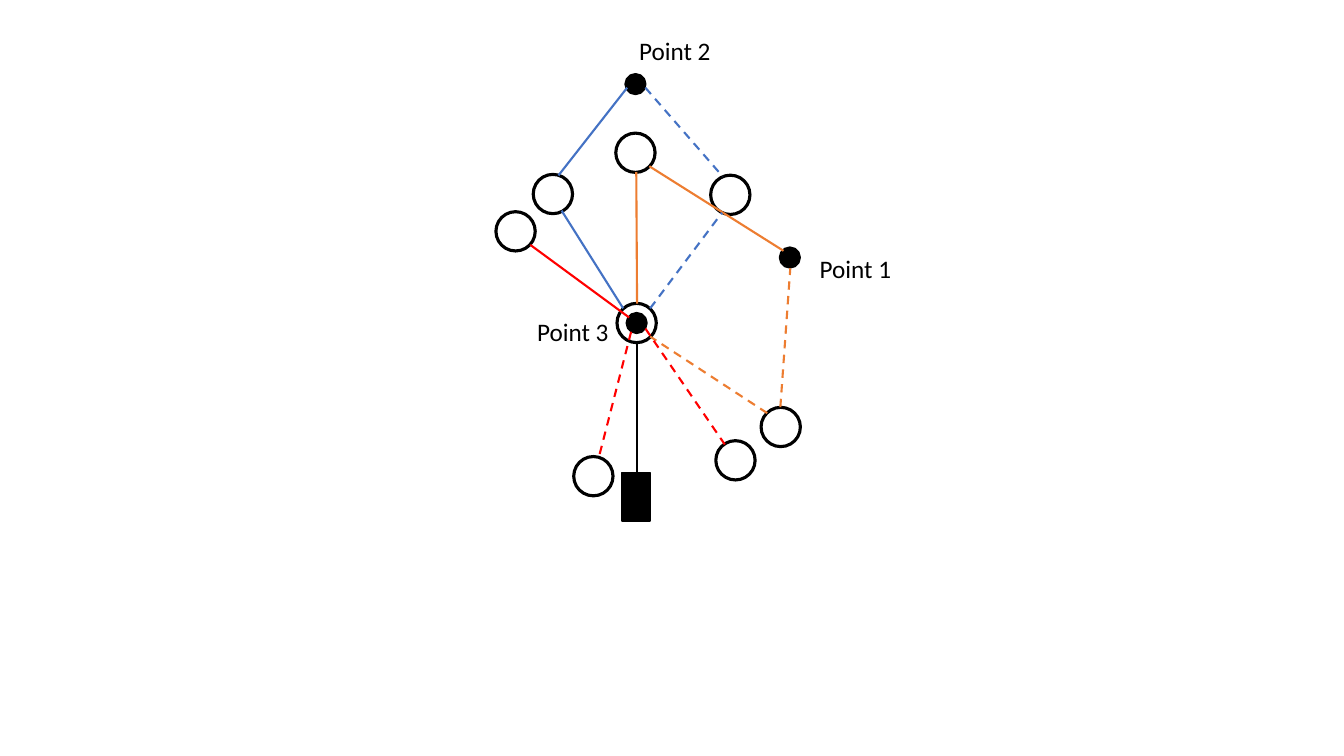
from pptx import Presentation
from pptx import util as u
from pptx.dml import color as col
from pptx.enum import dml, shapes, text
from pptx.oxml import xmlchemy as xc

INK = {"black": "000000", "orange": "ED7D31", "blue": "4472C4", "red": "FF0000"}


class Sketch:
    """Holds the style, the slide and the group that the diagram is drawn in."""
    font, size = "Calibri", 18
    ring_d, dot_d = 0.99, 0.48

    def __init__(self, slide):
        self.slide = slide
        self.group = slide.shapes.add_group_shape()

    def shade(self, name):
        return col.RGBColor.from_string(INK[name])

    def shape(self, kind, x, y, w, h, weight, filled):
        item = self.group.shapes.add_shape(kind, u.Cm(x), u.Cm(y), u.Cm(w), u.Cm(h))
        item.shadow.inherit = False
        if filled:
            item.fill.solid()
            item.fill.fore_color.rgb = self.shade("black")
        else:
            item.fill.background()
        item.line.color.rgb = self.shade("black")
        item.line.width = u.Pt(weight)

    def disc(self, x, y, d, filled):
        self.shape(shapes.MSO_SHAPE.OVAL, x - d / 2, y - d / 2, d, d, 2.25, filled)

    def ring(self, x, y):
        self.disc(x, y, self.ring_d, False)

    def dot(self, x, y):
        self.disc(x, y, self.dot_d, True)

    def box(self, x, y, w, h):
        self.shape(shapes.MSO_SHAPE.RECTANGLE, x, y, w, h, 1, True)

    def line(self, ink, dash, *ends):
        item = self.group.shapes.add_connector(
            shapes.MSO_CONNECTOR.STRAIGHT, *[u.Cm(n) for n in ends])
        item.line.color.rgb = self.shade(ink)
        item.line.width = u.Pt(1.5)
        if dash:
            item.line.dash_style = dml.MSO_LINE.DASH
        item._element.spPr.append(xc.OxmlElement("a:effectLst"))

    def label(self, words, x, y):
        item = self.group.shapes.add_textbox(u.Cm(x), u.Cm(y), u.Cm(2.34), u.Cm(1.02))
        frame = item.text_frame
        frame.text = words
        frame.word_wrap = False
        frame.auto_size = text.MSO_AUTO_SIZE.SHAPE_TO_FIT_TEXT
        font = frame.paragraphs[0].runs[0].font
        font.name, font.size = self.font, u.Pt(self.size)
        font.color.rgb = self.shade("black")


deck = Presentation()
deck.slide_width, deck.slide_height = u.Cm(33.86), u.Cm(19.05)
art = Sketch(deck.slides.add_slide(deck.slide_layouts[6]))

# Hub, then the rings around it, by centre
hub = (16.04, 8.14)
rings = [hub, (16.01, 3.85), (19.67, 10.76), (13.93, 4.89),
         (18.4, 4.91), (12.99, 5.83), (18.53, 11.6), (14.95, 12)]
for spot in rings:
    art.ring(*spot)

# Points 1, 2 and 3
for spot in [(19.9, 6.49), (16.01, 2.12), hub]:
    art.dot(*spot)

# Links: colour, dashed, start and end
links = [
    ("black", False, 16.05, 11.91, 16.05, 8.61),
    ("orange", False, 19.74, 6.32, 16.36, 4.19),
    ("orange", False, 16.05, 7.65, 16.03, 4.34),
    ("orange", True, 19.33, 10.41, 16.38, 8.48),
    ("orange", True, 19.66, 10.26, 19.91, 6.76),
    ("blue", False, 15.8, 2.21, 14.07, 4.42),
    ("blue", False, 15.7, 7.77, 14.15, 5.31),
    ("blue", True, 16.26, 2.21, 18.21, 4.45),
    ("blue", True, 16.38, 7.77, 18.19, 5.36),
    ("red", False, 15.85, 8, 13.36, 6.17),
    ("red", True, 16.26, 8.28, 18.26, 11.2),
    ("red", True, 15.9, 8.36, 15.09, 11.51),
]
for link in links:
    art.line(*link)

# Base block under the hub
art.box(15.67, 11.91, 0.71, 1.22)

# Labels
for words, x, y in [("Point 1", 20.4, 6.25), ("Point 2", 15.85, 0.76),
                    ("Point 3", 13.28, 7.85)]:
    art.label(words, x, y)

deck.save("out.pptx")
